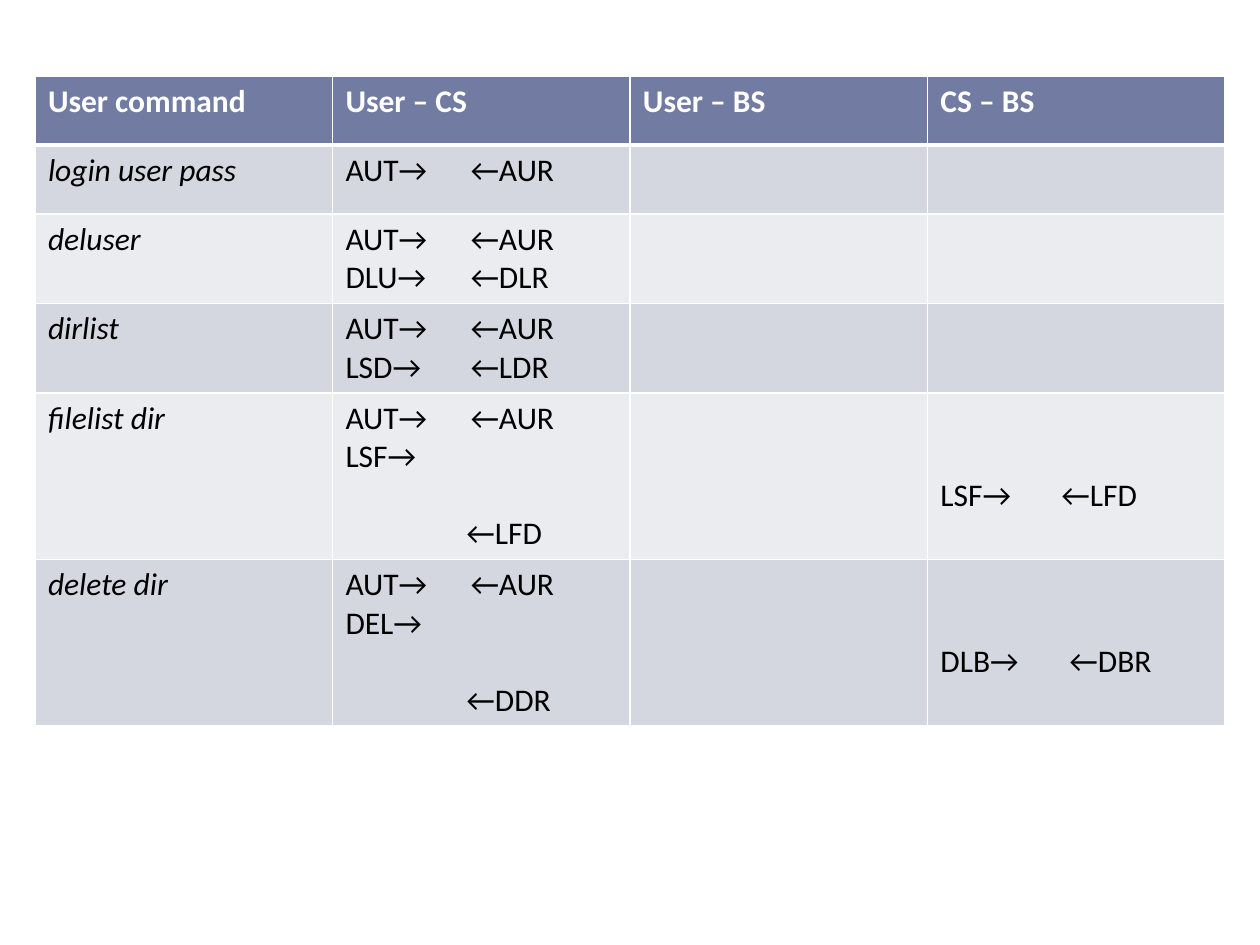
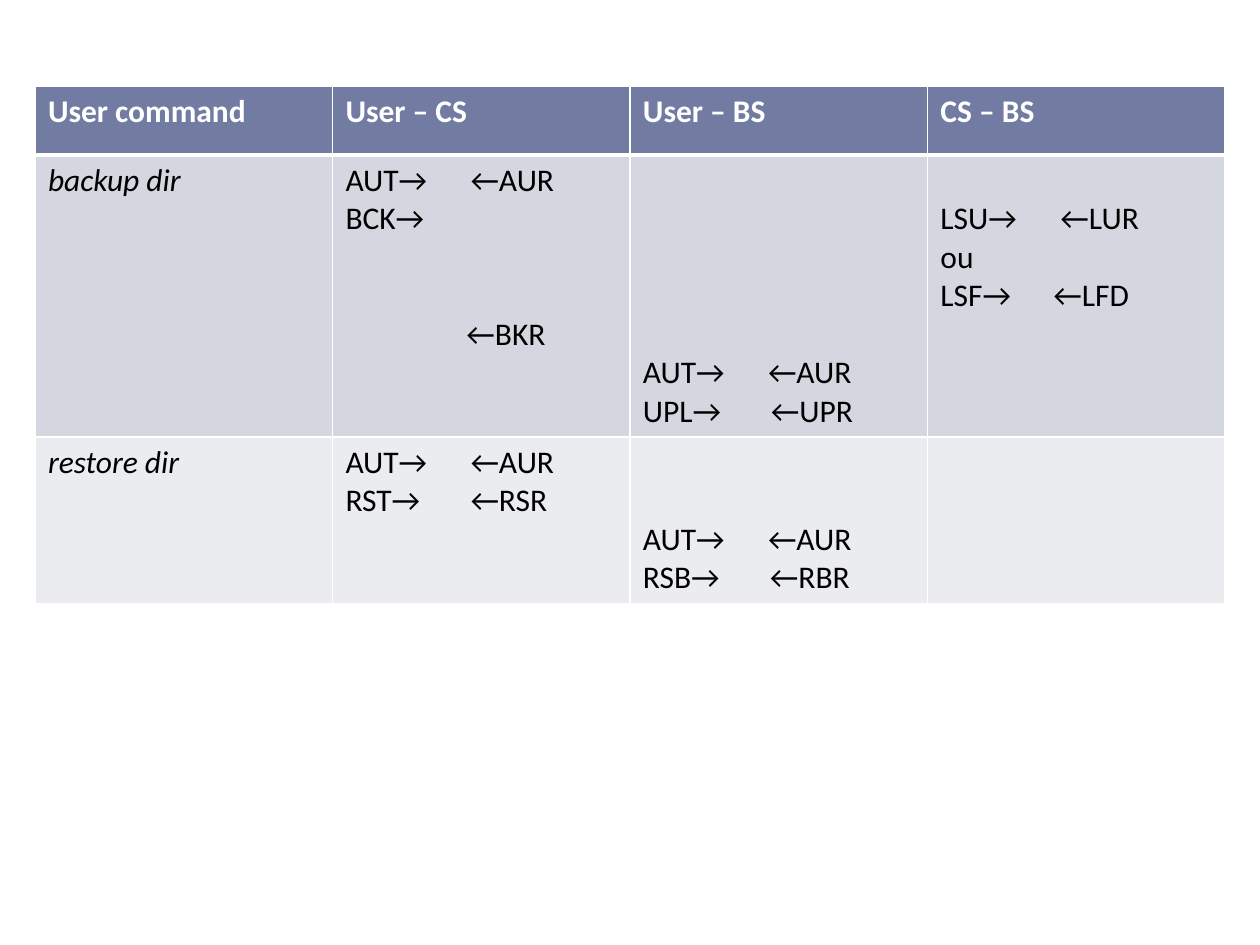
from dataclasses import dataclass

from lxml import etree
from pptx import Presentation
from pptx.dml.color import RGBColor
from pptx.oxml.ns import qn
from pptx.util import Emu, Pt

EMU_PER_PX = 914400 / 126
SLIDE_WIDTH, SLIDE_HEIGHT = 1260, 945
TABLE_LEFT, TABLE_WIDTH = 35, 1190
MINIMUM_ROW_HEIGHT = 69
SIDE_MARGIN = 13
CELL_MARGIN = Pt(3.6)
LINE_HEIGHT = Pt(22)

FONT_NAME = "Calibri"
FONT_SIZE = Pt(18)
WHITE = RGBColor(0xFF, 0xFF, 0xFF)
BLACK = RGBColor(0x00, 0x00, 0x00)
HEADER_FILL = RGBColor(0x72, 0x7C, 0xA3)
BAND_FILLS = (RGBColor(0xD5, 0xD7, 0xE0), RGBColor(0xEB, 0xEC, 0xF0))
THIN_BORDER, THICK_BORDER = Pt(1), Pt(3)

HEADINGS = ("User command", "User – CS", "User – BS", "CS – BS")


@dataclass
class Line:
    """A line of text, the empty lines above it and its tab position in px."""

    text: str
    gap: int = 0
    tab: int = 125


def exchange(request, reply, gap=0, tab=125):
    """Return a line with a request and the reply to it."""
    return Line(f"{request}→\t←{reply}", gap, tab)


def request_only(name):
    """Return a line with a request alone."""
    return Line(f"{name}→")


def reply_only(name, gap):
    """Return a line with a reply alone."""
    return Line(f"\t←{name}", gap, 121)


LOGIN = exchange("AUT", "AUR")

ACCOUNT_COMMANDS = (
    ("login user pass", (LOGIN,), (), ()),
    ("deluser", (LOGIN, exchange("DLU", "DLR")), (), ()),
    ("dirlist", (LOGIN, exchange("LSD", "LDR")), (), ()),
    ("filelist dir", (LOGIN, request_only("LSF"), reply_only("LFD", 1)), (),
     (exchange("LSF", "LFD", 2, 121),)),
    ("delete dir", (LOGIN, request_only("DEL"), reply_only("DDR", 1)), (),
     (exchange("DLB", "DBR", 2, 129),)),
)
BACKUP_COMMANDS = (
    ("backup dir", (LOGIN, request_only("BCK"), reply_only("BKR", 2)),
     (exchange("AUT", "AUR", 5), exchange("UPL", "UPR", tab=128)),
     (exchange("LSU", "LUR", 1, 120), Line("ou"), exchange("LSF", "LFD", tab=113))),
    ("restore dir", (LOGIN, exchange("RST", "RSR")),
     (exchange("AUT", "AUR", 2), exchange("RSB", "RBR", tab=127)), ()),
)


def px(length):
    """Turn pixels into EMU."""
    return Emu(round(length * EMU_PER_PX))


def add_borders(cell, top, bottom):
    """Draw white borders around a cell."""
    properties = cell._tc.get_or_add_tcPr()
    sides = {"a:lnL": THIN_BORDER, "a:lnR": THIN_BORDER, "a:lnT": top, "a:lnB": bottom}
    for tag, width in sides.items():
        border = etree.SubElement(properties, qn(tag), w=str(width))
        fill = etree.SubElement(border, qn("a:solidFill"))
        etree.SubElement(fill, qn("a:srgbClr"), val=str(WHITE))


def add_tab_stop(paragraph, position):
    """Give a paragraph one left tab stop."""
    tabs = etree.SubElement(paragraph._p.get_or_add_pPr(), qn("a:tabLst"))
    etree.SubElement(tabs, qn("a:tab"), pos=str(px(position)), algn="l")


def write_lines(cell, lines, color, bold, italic):
    """Write the lines of a cell, with gaps as margin or paragraph spacing."""
    cell.margin_left = cell.margin_right = px(SIDE_MARGIN)
    cell.margin_top = cell.margin_bottom = CELL_MARGIN
    if lines:
        cell.margin_top = CELL_MARGIN + lines[0].gap * LINE_HEIGHT
    frame = cell.text_frame
    for index, line in enumerate(lines):
        paragraph = frame.add_paragraph() if index else frame.paragraphs[0]
        paragraph.text = line.text
        if index and line.gap:
            paragraph.space_before = line.gap * LINE_HEIGHT
        if "\t" in line.text:
            add_tab_stop(paragraph, line.tab)
        for run in paragraph.runs:
            font = run.font
            font.name, font.size = FONT_NAME, FONT_SIZE
            font.bold, font.italic = bold, italic
            font.color.rgb = color


def row_height(cells):
    """Return the height that the tallest cell of a row needs."""
    count = max(sum(line.gap + 1 for line in lines) for lines in cells)
    return max(px(MINIMUM_ROW_HEIGHT), count * LINE_HEIGHT + 2 * CELL_MARGIN)


def add_command_table(slide, left, top, width, commands):
    """Add the table of messages that each user command sends."""
    rows = [[(Line(heading),) for heading in HEADINGS]]
    rows += [[(Line(name),), *messages] for name, *messages in commands]
    heights = [row_height(cells) for cells in rows]
    frame = slide.shapes.add_table(len(rows), len(HEADINGS), px(left), px(top),
                                   px(width), Emu(sum(heights)))
    table = frame.table
    table.first_row = table.horz_banding = False
    for row_index, cells in enumerate(rows):
        table.rows[row_index].height = Emu(heights[row_index])
        is_header = row_index == 0
        fill = HEADER_FILL if is_header else BAND_FILLS[(row_index - 1) % 2]
        for column_index, lines in enumerate(cells):
            cell = table.cell(row_index, column_index)
            add_borders(cell, THICK_BORDER if row_index == 1 else THIN_BORDER,
                        THICK_BORDER if is_header else THIN_BORDER)
            cell.fill.solid()
            cell.fill.fore_color.rgb = fill
            write_lines(cell, lines, WHITE if is_header else BLACK, is_header,
                        not is_header and column_index == 0)


def main():
    """Build the two slides and save them."""
    presentation = Presentation()
    presentation.slide_width = px(SLIDE_WIDTH)
    presentation.slide_height = px(SLIDE_HEIGHT)
    for top, commands in ((76, ACCOUNT_COMMANDS), (86, BACKUP_COMMANDS)):
        slide = presentation.slides.add_slide(presentation.slide_layouts[6])
        add_command_table(slide, TABLE_LEFT, top, TABLE_WIDTH, commands)
    presentation.save("out.pptx")


if __name__ == "__main__":
    main()
